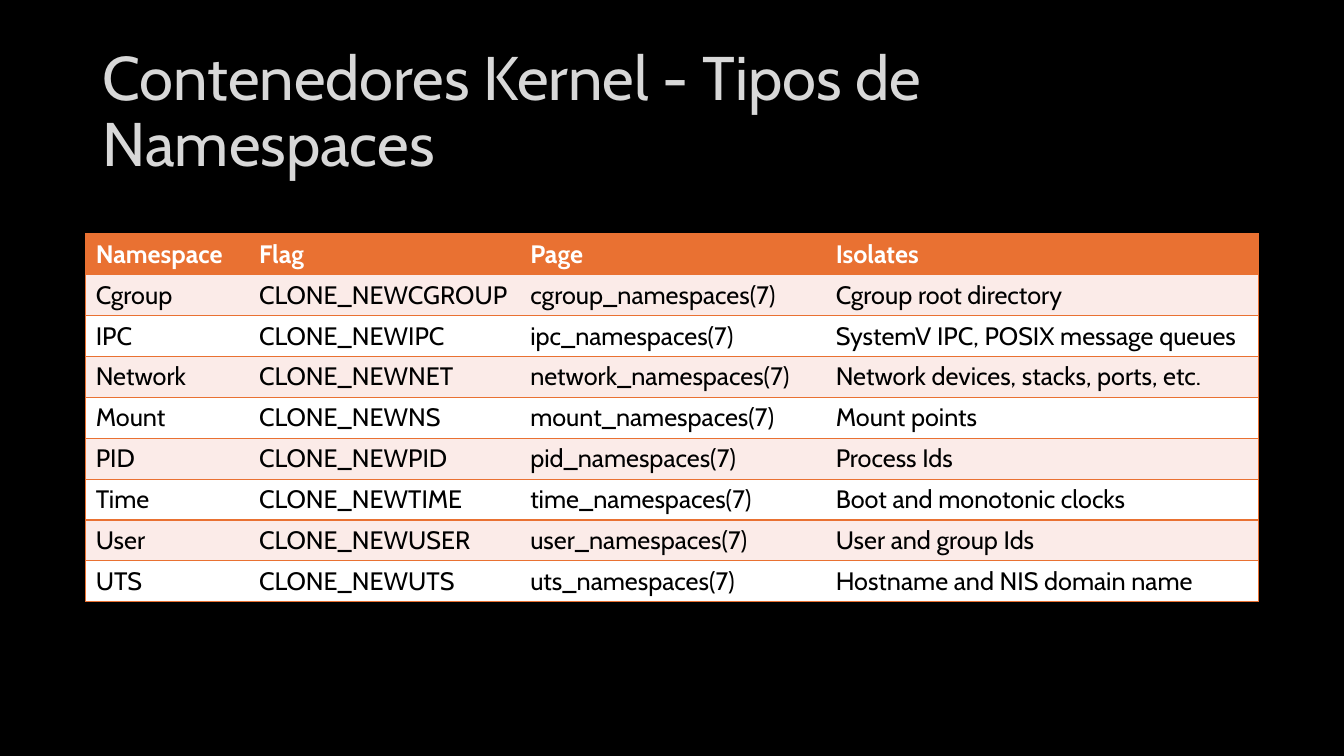
from lxml import etree
from pptx import Presentation
from pptx import util as u
from pptx.dml import color
from pptx.enum import text
from pptx.oxml import ns

INK, PAPER, ROSE, ORANGE, GREY = "000000", "FFFFFF", "FBEBE8", "E97132", "D8D8D8"
PLAIN = "{2D5ABB26-0587-4C30-8999-92F81FD0307C}"


def paint(fill, tone):
    fill.solid()
    fill.fore_color.rgb = color.RGBColor.from_string(tone)


def write(para, words, size, tone, bold=False):
    run = para.add_run()
    run.text = words
    run.font.name = "Cabin"
    run.font.size = u.Pt(size)
    run.font.bold = bold
    paint(run.font.fill, tone)


deck = Presentation()
deck.slide_width, deck.slide_height = u.Inches(13.33), u.Inches(7.5)
slide = deck.slides.add_slide(deck.slide_layouts[6])
paint(slide.background.fill, INK)

title = slide.shapes.add_textbox(u.Inches(0.92), u.Inches(0.4), u.Inches(11.5), u.Inches(1.45))
frame = title.text_frame
frame.word_wrap = True
frame.margin_right = u.Inches(0.3)
frame.vertical_anchor = text.MSO_ANCHOR.MIDDLE
frame.paragraphs[0].line_spacing = 0.9
write(frame.paragraphs[0], "Contenedores Kernel - Tipos de Namespaces", 44, GREY)

kinds = [
    ("Cgroup", "CGROUP", "Cgroup root directory"),
    ("IPC", "IPC", "SystemV IPC, POSIX message queues"),
    ("Network", "NET", "Network devices, stacks, ports, etc."),
    ("Mount", "NS", "Mount points"),
    ("PID", "PID", "Process Ids"),
    ("Time", "TIME", "Boot and monotonic clocks"),
    ("User", "USER", "User and group Ids"),
    ("UTS", "UTS", "Hostname and NIS domain name"),
]
rows = [("Namespace", "Flag", "Page", "Isolates")]
for name, flag, scope in kinds:
    rows.append((name, f"CLONE_NEW{flag}", f"{name.lower()}_namespaces(7)", scope))

wide = [1.62, 2.69, 3.03, 4.29]
high = 3.65 / len(rows)
table = slide.shapes.add_table(len(rows), len(wide), u.Inches(0.85), u.Inches(2.32),
                               u.Inches(sum(wide)), u.Inches(3.65)).table
table._tbl.tblPr.find(ns.qn("a:tableStyleId")).text = PLAIN
for col, width in zip(table.columns, wide):
    col.width = u.Inches(width)

for r, row in enumerate(rows):
    table.rows[r].height = u.Inches(high)
    head = r == 0
    for c, words in enumerate(row):
        cell = table.cell(r, c)
        write(cell.text_frame.paragraphs[0], words, 18, PAPER if head else INK, head)
        sides = ["lnL"] * (c == 0) + ["lnR"] * (c == len(wide) - 1) + ["lnT", "lnB"]
        props = cell._tc.get_or_add_tcPr()
        for side in sides:
            line = etree.SubElement(props, ns.qn(f"a:{side}"), w=str(u.Pt(1)))
            fill = etree.SubElement(line, ns.qn("a:solidFill"))
            etree.SubElement(fill, ns.qn("a:srgbClr"), val=ORANGE)
        paint(cell.fill, ORANGE if head else ROSE if r % 2 else PAPER)

deck.save("out.pptx")
